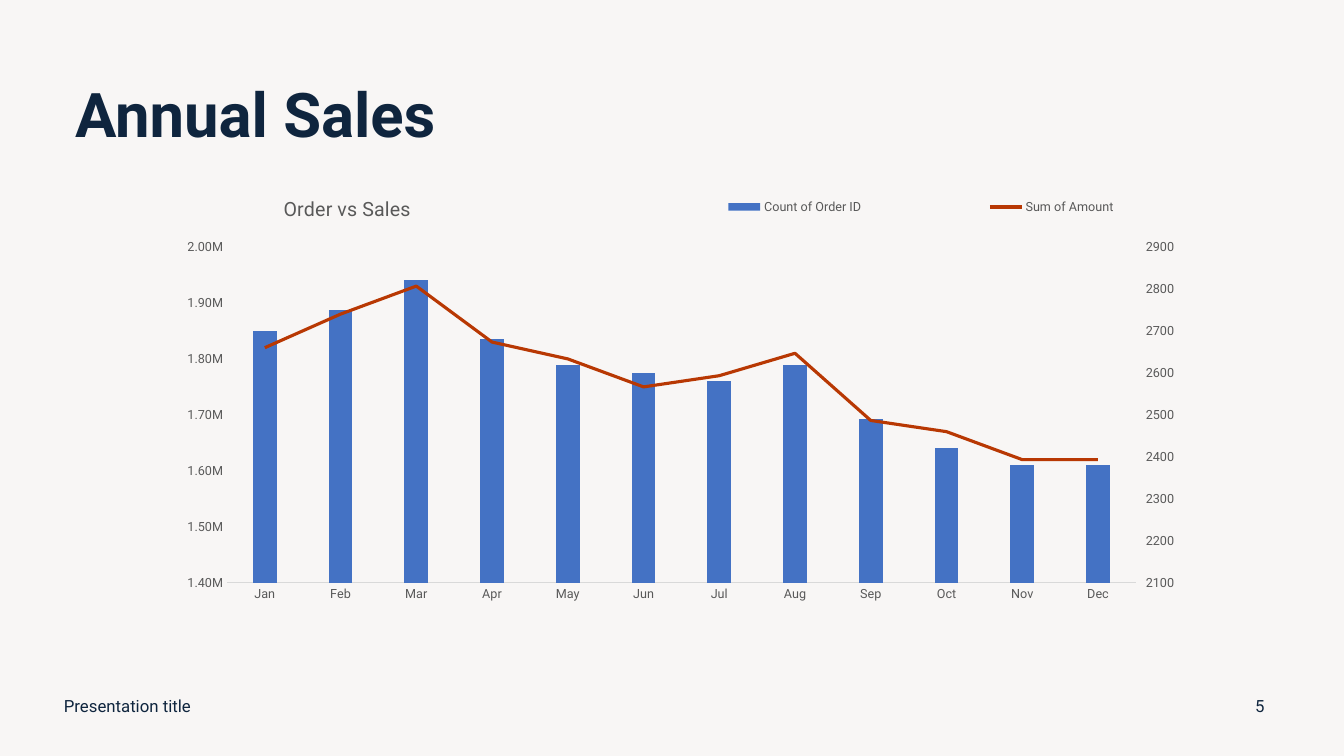
from copy import deepcopy

from pptx import Presentation
from pptx.chart.axis import CategoryAxis, ValueAxis
from pptx.chart.data import CategoryChartData
from pptx.dml.color import RGBColor
from pptx.enum.chart import (XL_CHART_TYPE, XL_LEGEND_POSITION, XL_MARKER_STYLE,
                             XL_TICK_LABEL_POSITION, XL_TICK_MARK)
from pptx.enum.text import MSO_ANCHOR, PP_ALIGN
from pptx.oxml import parse_xml
from pptx.oxml.ns import nsdecls
from pptx.util import Pt

COLUMNS = XL_CHART_TYPE.COLUMN_CLUSTERED
LABELS_HIGH = XL_TICK_LABEL_POSITION.HIGH
LEGEND_RIGHT = XL_LEGEND_POSITION.RIGHT
NO_MARKER = XL_MARKER_STYLE.NONE
NO_TICK, TICK_OUT = XL_TICK_MARK.NONE, XL_TICK_MARK.OUTSIDE
MIDDLE = MSO_ANCHOR.MIDDLE
LEFT, CENTER = PP_ALIGN.LEFT, PP_ALIGN.CENTER

PX_PER_INCH = 100.8
FONT = "Roboto"
NAVY, GREY, PALE = "0F253E", "595959", "D9D9D9"
BLUE, RUST, BACKGROUND = "4472C4", "B83803", "F8F6F5"

MONTHS = ["Jan", "Feb", "Mar", "Apr", "May", "Jun",
          "Jul", "Aug", "Sep", "Oct", "Nov", "Dec"]
ORDERS = [2700, 2750, 2820, 2680, 2620, 2600, 2580, 2620, 2490, 2420, 2380, 2380]
AMOUNTS = [1820000, 1880000, 1930000, 1830000, 1800000, 1750000,
           1770000, 1810000, 1690000, 1670000, 1620000, 1620000]


def px(length):
    return round(length * 914400 / PX_PER_INCH)


def color(code):
    return RGBColor.from_string(code)


def style_font(font, size, code, bold=False):
    font.name, font.size, font.bold = FONT, Pt(size), bold
    font.color.rgb = color(code)


def write(frame, text, size, code, bold=False, align=LEFT):
    frame.word_wrap = True
    frame.vertical_anchor = MIDDLE
    para = frame.paragraphs[0]
    para.alignment = align
    span = para.add_run()
    span.text = text
    style_font(span.font, size, code, bold)
    return para


def add_title(page, box):
    title = page.shapes.title
    title.left, title.top, title.width, title.height = map(px, box)
    write(title.text_frame, "Annual Sales", 44, NAVY, bold=True).line_spacing = 0.9


def add_footer(page, box):
    left, top, width, height = box
    number_width = 50
    parts = [("Presentation title", left, 454, LEFT),
             ("5", left + width - number_width, number_width, CENTER)]
    for text, x, part_width, align in parts:
        label = page.shapes.add_textbox(px(x), px(top), px(part_width), px(height))
        write(label.text_frame, text, 12, NAVY, align=align)


def place_part(element, index, chart_box, part, inner=False):
    """Set a manual layout from px measured inside the chart box."""
    for old in element.xpath("./c:layout"):
        element.remove(old)
    width, height = chart_box[2:]
    tags = '<c:layoutTarget val="inner"/>' if inner else ""
    tags += '<c:xMode val="edge"/><c:yMode val="edge"/>'
    for name, value, whole in zip("xywh", part, (width, height, width, height)):
        tags += f'<c:{name} val="{value / whole:.4f}"/>'
    element.insert(index, parse_xml(
        f'<c:layout {nsdecls("c")}><c:manualLayout>{tags}</c:manualLayout></c:layout>'))


def style_value_axis(axis, low, high, step, number_format, tick):
    axis.minimum_scale, axis.maximum_scale, axis.major_unit = low, high, step
    axis.has_major_gridlines = False
    axis.major_tick_mark, axis.minor_tick_mark = tick, NO_TICK
    axis.format.line.fill.background()
    axis.tick_labels.number_format = number_format
    axis.tick_labels.number_format_is_linked = False
    style_font(axis.tick_labels.font, 9, GREY)


def split_axes(chart):
    """Turn the second series into a line; return the bar and line value axes."""
    category, value = chart.category_axis._element, chart.value_axis._element
    bars = category.getparent().xpath("./c:barChart")[0]
    line = parse_xml(
        f'<c:lineChart {nsdecls("c")}><c:grouping val="standard"/>'
        '<c:varyColors val="0"/><c:marker val="1"/>'
        '<c:axId val="5001"/><c:axId val="5002"/></c:lineChart>')
    series = bars.xpath("./c:ser")[1]
    for flag in series.xpath("./c:invertIfNegative"):
        series.remove(flag)
    line.insert(2, series)
    bars.addnext(line)

    line_category, line_value = deepcopy(category), deepcopy(value)
    for axis, own, other in ((line_category, "5001", "5002"),
                             (line_value, "5002", "5001")):
        axis.xpath("./c:axId")[0].set("val", own)
        axis.xpath("./c:crossAx")[0].set("val", other)
    value.addnext(line_value)
    line_value.addnext(line_category)
    CategoryAxis(line_category).visible = False
    value.xpath("./c:axPos")[0].set("val", "r")
    value.xpath("./c:crosses")[0].set("val", "max")
    return ValueAxis(value), ValueAxis(line_value)


def add_sales_chart(page, box):
    data = CategoryChartData()
    data.categories = MONTHS
    data.add_series("Count of Order ID", ORDERS)
    data.add_series("Sum of Amount", AMOUNTS)
    chart = page.shapes.add_chart(COLUMNS, *map(px, box), data).chart
    style_font(chart.font, 10, "000000")

    months = chart.category_axis
    months.major_tick_mark = NO_TICK
    months.format.line.color.rgb = color(PALE)
    style_font(months.tick_labels.font, 9, GREY)
    order_axis, amount_axis = split_axes(chart)
    style_value_axis(order_axis, 2100, 2900, 100, "General", TICK_OUT)
    order_axis.tick_label_position = LABELS_HIGH
    style_value_axis(amount_axis, 1400000, 2000000, 100000, '0.00,,"M"', NO_TICK)

    bars, line = chart.plots
    bars.gap_width, bars.overlap = 219, -27
    bars.vary_by_categories = False
    orders, amounts = bars.series[0], line.series[0]
    orders.format.fill.solid()
    orders.format.fill.fore_color.rgb = color(BLUE)
    amounts.format.line.color.rgb = color(RUST)
    amounts.format.line.width = Pt(2.25)
    amounts.marker.style = NO_MARKER
    amounts.smooth = False

    chart.has_title = True
    span = chart.chart_title.text_frame.paragraphs[0].add_run()
    span.text = "Order vs Sales"
    style_font(span.font, 14, GREY)
    chart.has_legend = True
    chart.legend.position = LEGEND_RIGHT
    chart.legend.include_in_layout = False
    style_font(chart.legend.font, 9, GREY)

    place_part(chart.chart_title._element, 1, box, (215, 13))
    place_part(chart.legend._element, 1, box, (539, 12, 634, 32))
    place_part(months._element.getparent(), 0, box, (162, 68, 909, 336), inner=True)


def build_sales_page(deck):
    page = deck.slides.add_slide(deck.slide_layouts[5])
    page.background.fill.solid()
    page.background.fill.fore_color.rgb = color(BACKGROUND)
    add_title(page, (65, 56, 1159, 123))
    add_sales_chart(page, (65, 179, 1200, 459))
    add_footer(page, (54, 686, 1231, 40))


def main():
    deck = Presentation()
    deck.slide_width, deck.slide_height = px(1344), px(756)
    build_sales_page(deck)
    deck.save("out.pptx")


if __name__ == "__main__":
    main()
